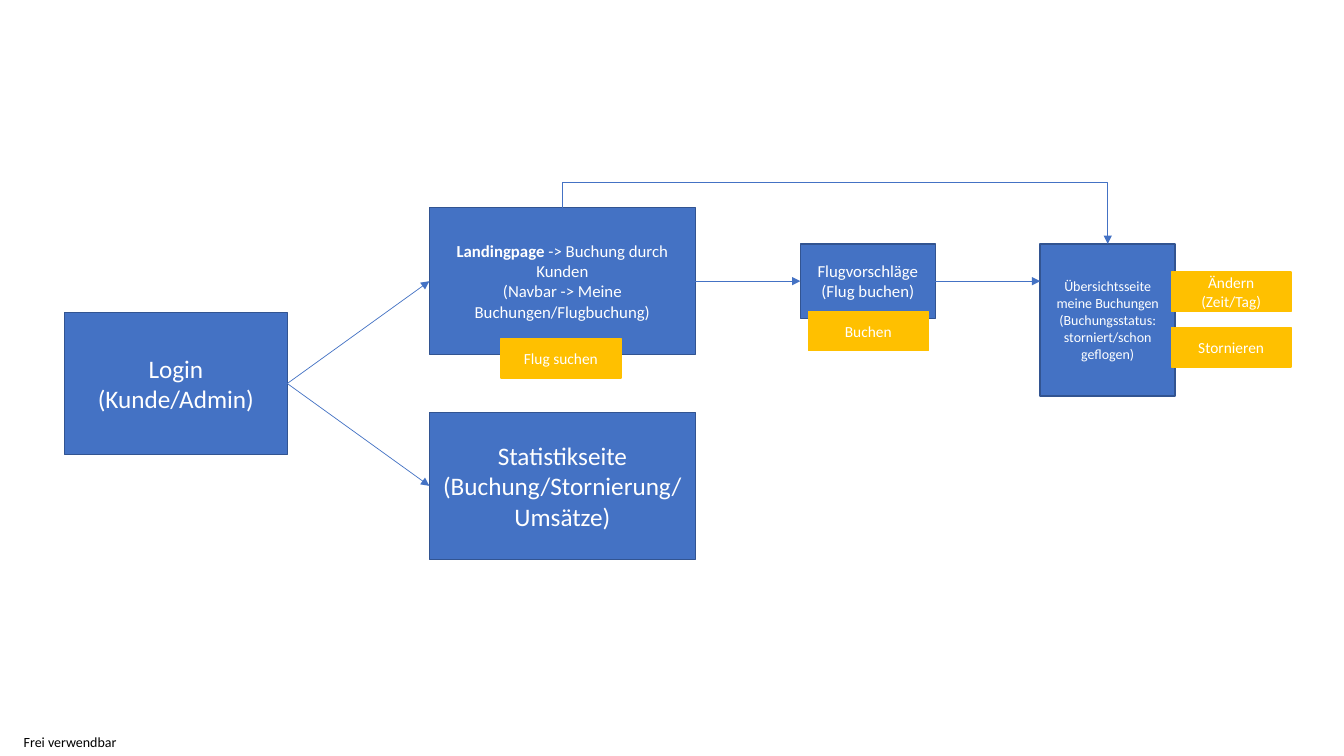
"""Build the page-flow slide of a flight booking application."""
import pptx
import pptx.util
import pptx.dml.color
import pptx.enum.shapes
import pptx.enum.text
import pptx.oxml
import pptx.oxml.ns
from dataclasses import dataclass

Pt = pptx.util.Pt


@dataclass(frozen=True)
class Theme:
    font: str = "Calibri"
    page: str = "4472C4"
    page_edge: str = "325491"
    action: str = "FFC000"
    light: str = "FFFFFF"
    dark: str = "000000"
    edge_width: float = 1
    arrow_width: float = 0.5
    large: int = 18
    medium: int = 12
    button: int = 11
    small: int = 10


theme = Theme()

pages = {
    "landing": ((306.7, 148.3, 190, 105.1), theme.medium, [
        [("Landingpage", True), (" -> Buchung durch Kunden", False)],
        [("(Navbar -> Meine Buchungen/Flugbuchung)", False)]]),
    "login": ((46.1, 223.2, 159.1, 101.5), theme.large, [[("Login (Kunde/Admin)", False)]]),
    "statistics": ((306.7, 294.5, 190, 105.1), theme.large, [
        [("Statistikseite (Buchung/Stornierung/Umsätze)", False)]]),
    "flights": ((571.7, 174.2, 96.5, 53.3), theme.medium, [
        [("Flugvorschläge (Flug buchen)", False)]]),
    "overview": ((743, 174.2, 96.5, 108.7), theme.small, [
        [("Übersichtsseite meine Buchungen (Buchungsstatus: storniert/schon geflogen)", False)]]),
}
button_size = (85.7, 28.1)
buttons = [
    ("Ändern (Zeit/Tag)", (836.6, 194.4)),
    ("Stornieren", (836.6, 234)),
    ("Buchen", (577.4, 222.5)),
    ("Flug suchen", (357.8, 241.9)),
]
flows = [("login", "landing"), ("login", "statistics"),
         ("landing", "flights"), ("flights", "overview")]
detour_rise = 18
footer = ("Frei verwendbar", (0, 524.2, 100.1, 12.2))

deck = pptx.Presentation()
deck.slide_width, deck.slide_height = Pt(960), Pt(540)
slide = deck.slides.add_slide(deck.slide_layouts[6])


def rgb(color):
    return pptx.dml.color.RGBColor.from_string(color)


def write(frame, paragraphs, size, color):
    frame.word_wrap = True
    frame.vertical_anchor = pptx.enum.text.MSO_ANCHOR.MIDDLE
    for index, parts in enumerate(paragraphs):
        paragraph = frame.add_paragraph() if index else frame.paragraphs[0]
        paragraph.alignment = pptx.enum.text.PP_ALIGN.CENTER
        for text, bold in parts:
            run = paragraph.add_run()
            run.text = text
            run.font.name, run.font.size, run.font.bold = theme.font, Pt(size), bold
            run.font.color.rgb = rgb(color)


def add_box(place, paragraphs, size, fill, edge):
    box = slide.shapes.add_shape(pptx.enum.shapes.MSO_SHAPE.RECTANGLE, *map(Pt, place))
    box.shadow.inherit = False
    box.fill.solid()
    box.fill.fore_color.rgb = rgb(fill)
    box.line.color.rgb = rgb(edge)
    box.line.width = Pt(theme.edge_width)
    write(box.text_frame, paragraphs, size, theme.light)


def add_arrow(kind, start, end):
    arrow = slide.shapes.add_connector(kind, *map(Pt, (*start, *end)))
    arrow.line.color.rgb = rgb(theme.page)
    arrow.line.width = Pt(theme.arrow_width)
    pptx.oxml.ns.qn("a:tailEnd")
    head = arrow.line._get_or_add_ln().makeelement(
        pptx.oxml.ns.qn("a:tailEnd"), {"type": "triangle"})
    arrow.line._get_or_add_ln().append(head)
    properties = arrow._element.spPr
    properties.append(properties.makeelement(pptx.oxml.ns.qn("a:effectLst"), {}))
    return properties


def add_detour(start, end, rise):
    across, down = end[0] - start[0], end[1] - start[1]
    middle_x, middle_y = (start[0] + end[0]) / 2, (start[1] + end[1]) / 2
    properties = add_arrow(
        pptx.enum.shapes.MSO_CONNECTOR.ELBOW,
        (middle_x + down / 2, middle_y - across / 2),
        (middle_x - down / 2, middle_y + across / 2))
    properties.find(pptx.oxml.ns.qn("a:xfrm")).set("rot", str(270 * 60000))
    geometry = properties.find(pptx.oxml.ns.qn("a:prstGeom"))
    adjustments = geometry.find(pptx.oxml.ns.qn("a:avLst"))
    if adjustments is None:
        adjustments = geometry.makeelement(pptx.oxml.ns.qn("a:avLst"), {})
        geometry.append(adjustments)
    bend = round(-rise / down * 100000)
    adjustments.append(adjustments.makeelement(
        pptx.oxml.ns.qn("a:gd"), {"name": "adj1", "fmla": f"val {bend}"}))


for place, size, paragraphs in pages.values():
    add_box(place, paragraphs, size, theme.page, theme.page_edge)

flight_row = pages["landing"][0][1] + pages["landing"][0][3] / 2
for source, target in flows:
    left, top, width, height = pages[source][0]
    target_left, target_top, _, target_height = pages[target][0]
    target_y = flight_row if target == "overview" else target_top + target_height / 2
    add_arrow(pptx.enum.shapes.MSO_CONNECTOR.STRAIGHT,
              (left + width, top + height / 2), (target_left, target_y))

for label, corner in buttons:
    add_box((*corner, *button_size), [[(label, False)]], theme.button,
            theme.action, theme.action)

detour_ends = [(left + width / 2, top) for left, top, width, _ in
               (pages["landing"][0], pages["overview"][0])]
add_detour(*detour_ends, detour_rise)

notice, notice_place = footer
notice_box = slide.shapes.add_textbox(*map(Pt, notice_place)).text_frame
notice_box.margin_left = notice_box.margin_right = 0
notice_box.margin_top = notice_box.margin_bottom = 0
write(notice_box, [[(notice, False)]], theme.small, theme.dark)
notice_box.auto_size = pptx.enum.text.MSO_AUTO_SIZE.SHAPE_TO_FIT_TEXT

deck.save("out.pptx")
